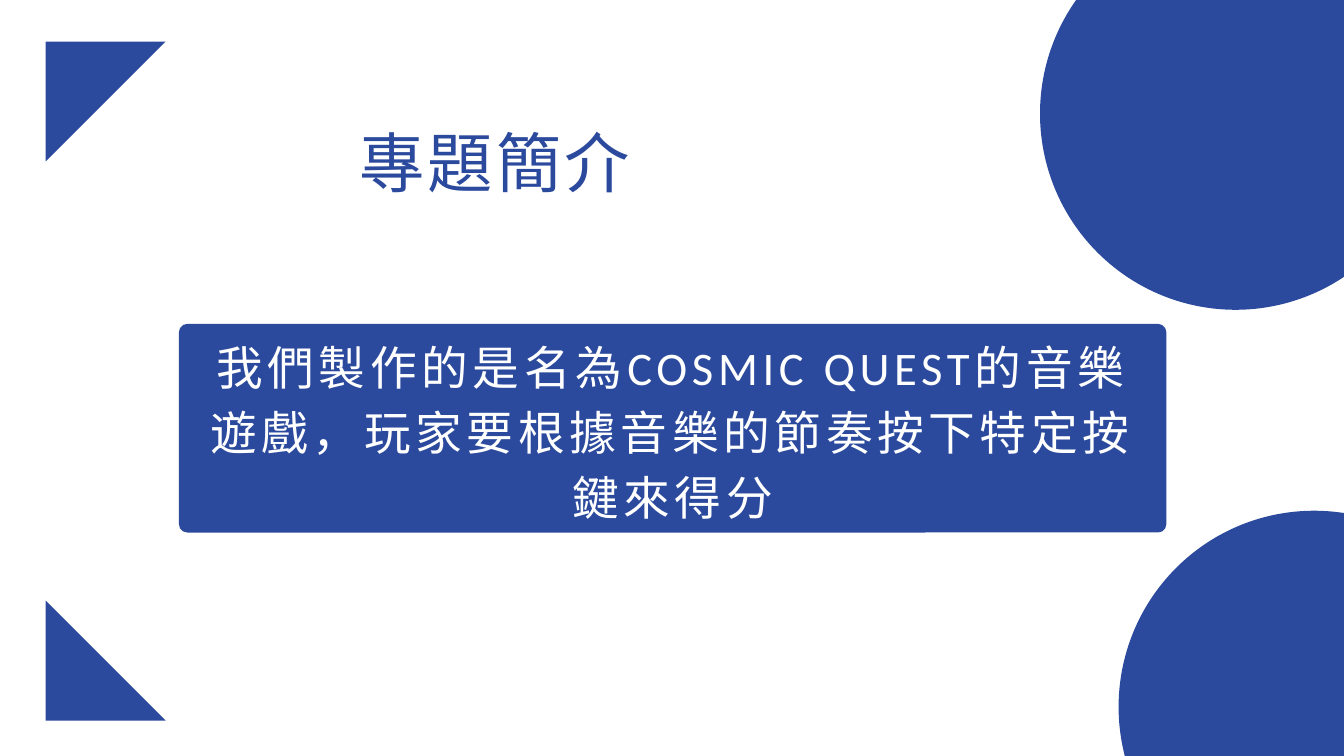
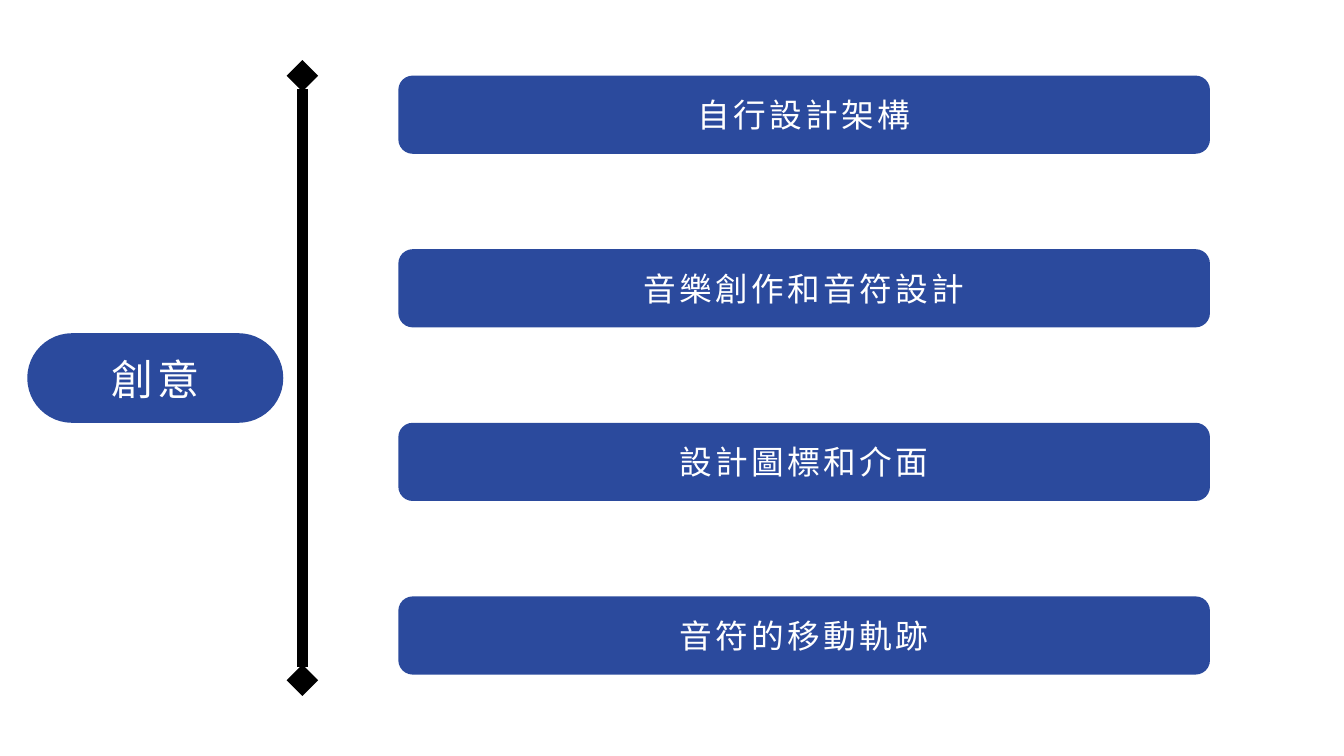
from lxml import etree
from pptx import Presentation
from pptx.dml.color import RGBColor
from pptx.enum import shapes, text
from pptx.oxml.ns import qn
from pptx.util import Pt

BLUE, WHITE, BLACK = "2B4A9D", "FFFFFF", "000000"
FONT = "Calibri"


def color(value):
    return RGBColor.from_string(value)


class Deck:
    """Holds the presentation, its style and the slide being filled."""

    def __init__(self):
        self.presentation = Presentation()
        self.presentation.slide_width = Pt(1440)
        self.presentation.slide_height = Pt(810)
        self.slide = None

    def new_slide(self):
        self.slide = self.presentation.slides.add_slide(self.presentation.slide_layouts[6])
        fill = self.slide.background.fill
        fill.solid()
        fill.fore_color.rgb = color(WHITE)

    def block(self, kind, left, top, width, height):
        shape = self.slide.shapes.add_shape(kind, Pt(left), Pt(top), Pt(width), Pt(height))
        shape.shadow.inherit = False
        shape.fill.solid()
        shape.fill.fore_color.rgb = color(BLUE)
        shape.line.fill.background()
        return shape

    def label(self, words, left, top, width, height, size, ink=WHITE, leading=1.4, tracking=0.1):
        """Centred text; leading and tracking are fractions of the font size."""
        box = self.slide.shapes.add_textbox(Pt(left), Pt(top), Pt(width), Pt(height))
        frame = box.text_frame
        frame.word_wrap = True
        frame.margin_left = frame.margin_right = frame.margin_top = frame.margin_bottom = 0
        paragraph = frame.paragraphs[0]
        paragraph.alignment = text.PP_ALIGN.CENTER
        paragraph.line_spacing = Pt(size * leading)
        run = paragraph.add_run()
        run.text = words
        run._r.get_or_add_rPr().set("spc", str(round(size * tracking * 100)))
        paragraph.font.name = FONT
        paragraph.font.size = Pt(size)
        paragraph.font.color.rgb = color(ink)

    def banner(self, words, left, top, width, height, size, radius, inset_x, inset_y):
        shape = self.block(shapes.MSO_SHAPE.ROUNDED_RECTANGLE, left, top, width, height)
        shape.adjustments[0] = radius / height
        self.label(words, left + inset_x, top + inset_y,
                   width - 2 * inset_x, height - 2 * inset_y, size)

    def diamond_line(self, x, top, bottom, weight):
        line = self.slide.shapes.add_connector(
            shapes.MSO_CONNECTOR.STRAIGHT, Pt(x), Pt(top), Pt(x), Pt(bottom))
        line.line.color.rgb = color(BLACK)
        line.line.width = Pt(weight)
        outline = line.line._get_or_add_ln()
        for end in ("a:headEnd", "a:tailEnd"):
            etree.SubElement(outline, qn(end), type="diamond")
        etree.SubElement(line._element.spPr, qn("a:effectLst"))


def add_introduction(deck):
    deck.new_slide()
    for left, top in ((1114.3, -88.5), (1198.5, 547.2)):
        deck.block(shapes.MSO_SHAPE.OVAL, left, top, 419, 420.4)
    for top, rotation in ((643.5, 0), (44.5, 90)):
        triangle = deck.block(shapes.MSO_SHAPE.RIGHT_TRIANGLE, 49, top, 128.5, 128.5)
        triangle.rotation = rotation
    deck.label("專題簡介", 113, 141, 834.5, 80, 70, ink=BLUE, leading=1.05, tracking=0.05)
    deck.banner("我們製作的是名為COSMIC QUEST的音樂遊戲，玩家要根據音樂的節奏按下特定按鍵來得分",
                191.7, 347, 1058, 223.6, 50, radius=9, inset_x=31, inset_y=5.8)


def add_creative_ideas(deck):
    ideas = ("自行設計架構", "音樂創作和音符設計", "設計圖標和介面", "音符的移動軌跡")
    deck.new_slide()
    deck.banner("創意", 29.2, 357, 274.3, 96, 45, radius=48, inset_x=8, inset_y=12.3)
    for index, idea in enumerate(ideas):
        deck.banner(idea, 426.8, 81 + 186 * index, 869.6, 83.8, 35,
                    radius=15.4, inset_x=25.2, inset_y=13.6)
    deck.diamond_line(324, 81.2, 728.8, 11.25)


def main():
    deck = Deck()
    add_introduction(deck)
    add_creative_ideas(deck)
    deck.presentation.save("out.pptx")


if __name__ == "__main__":
    main()
